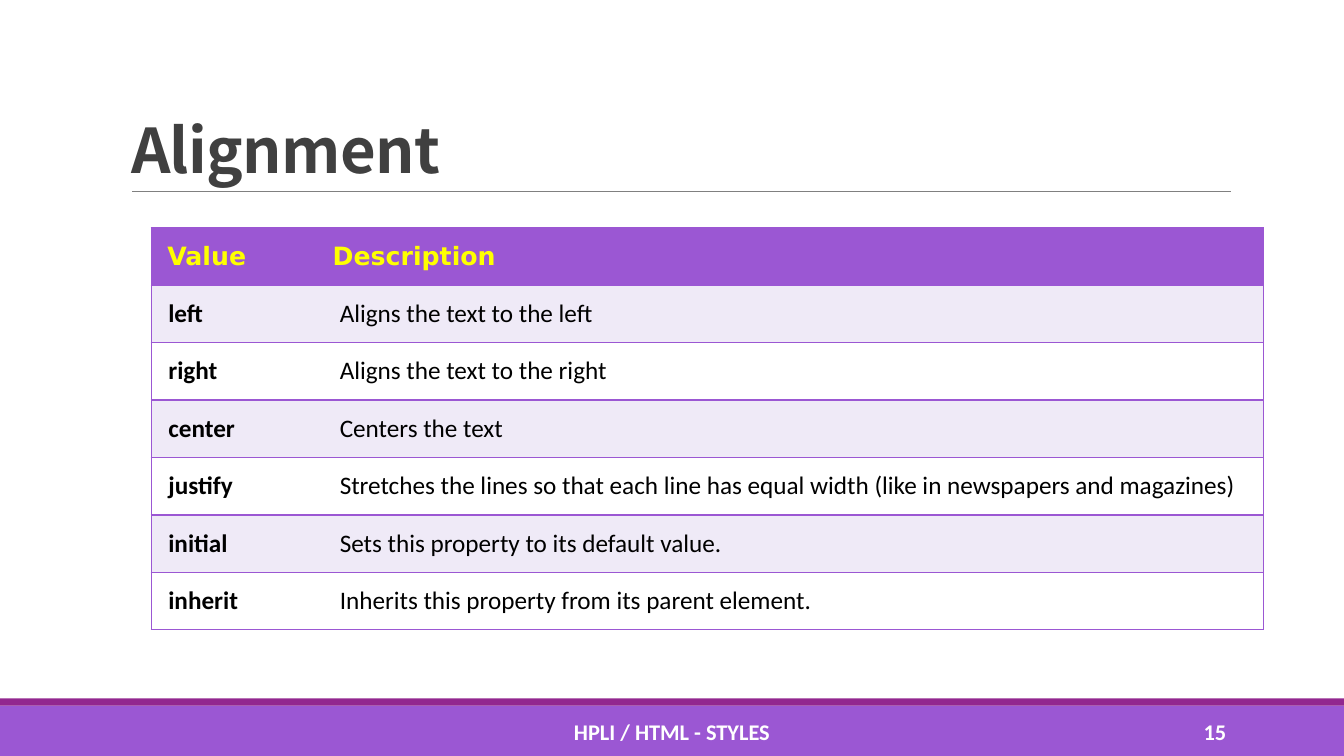
from dataclasses import dataclass

import pptx
import pptx.dml.color
import pptx.enum.shapes
import pptx.enum.text
import pptx.oxml
import pptx.oxml.ns
import pptx.util
from pptx.enum.text import MSO_ANCHOR, PP_ALIGN

EMU_PER_PX = 9144  # 100 px to the inch
PURPLE, PLUM, LILAC, WHITE = "9B57D3", "92278F", "EFEAF7", "FFFFFF"
BLACK, YELLOW, DARK_GREY, GREY = "000000", "FFFF00", "404040", "808080"


@dataclass(frozen=True)
class Band:
    top: int
    height: int
    colour: str


@dataclass(frozen=True)
class FooterText:
    left: int
    width: int
    text: str
    align: PP_ALIGN


@dataclass(frozen=True)
class CellStyle:
    fill: str
    colour: str
    font: str
    bold: bool
    margins: tuple[int, int, int, int]  # left, top, right, bottom


BANDS = [Band(700, 50, PURPLE), Band(693, 7, PLUM)]
FOOTERS = [
    FooterText(403, 527, "HPLI / HTML - STYLES", PP_ALIGN.CENTER),
    FooterText(1083, 143, "15", PP_ALIGN.RIGHT),
]
COLUMN_WIDTHS = [179, 924]
ROW_HEIGHT = 57
ROWS = [
    ("Value", "Description"),
    ("left", "Aligns the text to the left"),
    ("right", "Aligns the text to the right"),
    ("center", "Centers the text"),
    ("justify", "Stretches the lines so that each line has equal width "
                "(like in newspapers and magazines)"),
    ("initial", "Sets this property to its default value."),
    ("inherit", "Inherits this property from its parent element."),
]


def px(length: int) -> pptx.util.Emu:
    return pptx.util.Emu(length * EMU_PER_PX)


def rgb(colour: str) -> pptx.dml.color.RGBColor:
    return pptx.dml.color.RGBColor.from_string(colour)


def set_font(para, name: str, size: int, colour: str, bold: bool) -> None:
    font = para.font
    font.name, font.size, font.bold = name, pptx.util.Pt(size), bold
    font.color.rgb = rgb(colour)


def add_band(page, band: Band, width: int) -> None:
    box = page.shapes.add_shape(pptx.enum.shapes.MSO_SHAPE.RECTANGLE,
                                0, px(band.top), width, px(band.height))
    box.shadow.inherit = False
    box.fill.solid()
    box.fill.fore_color.rgb = rgb(band.colour)
    box.line.fill.background()


def add_rule(page, left: int, right: int, top: int) -> None:
    rule = page.shapes.add_connector(pptx.enum.shapes.MSO_CONNECTOR.STRAIGHT,
                                     px(left), px(top), px(right), px(top))
    rule.line.color.rgb = rgb(GREY)
    rule.line.width = pptx.util.Pt(0.5)
    rule._element.spPr.append(pptx.oxml.parse_xml(
        f"<a:effectLst {pptx.oxml.ns.nsdecls('a')}/>"))


def fill_title(page, text: str) -> None:
    title = page.shapes.title
    title.left, title.top, title.width, title.height = map(px, (120, 31, 1100, 159))
    frame = title.text_frame
    frame.text = text
    frame.vertical_anchor = MSO_ANCHOR.BOTTOM
    frame.auto_size = pptx.enum.text.MSO_AUTO_SIZE.NONE
    para = frame.paragraphs[0]
    para.alignment = PP_ALIGN.LEFT
    para.line_spacing = 0.85
    set_font(para, "Noto Sans CJK SC", 44, DARK_GREY, True)
    para._p.pPr.find(pptx.oxml.ns.qn("a:defRPr")).set("spc", "-50")


def add_footer(page, footer: FooterText) -> None:
    box = page.shapes.add_textbox(px(footer.left), px(706), px(footer.width), px(40))
    frame = box.text_frame
    frame.word_wrap = True
    frame.vertical_anchor = MSO_ANCHOR.MIDDLE
    frame.text = footer.text
    para = frame.paragraphs[0]
    para.alignment = footer.align
    set_font(para, "Calibri", 16, WHITE, True)


def set_borders(cell, open_side: str) -> None:
    """Outline a cell in purple, leaving one side without a line."""
    properties = cell._tc.get_or_add_tcPr()
    for index, side in enumerate("LRTB"):
        paint = ("<a:noFill/>" if side == open_side else
                 f'<a:solidFill><a:srgbClr val="{PURPLE}"/></a:solidFill>')
        properties.insert(index, pptx.oxml.parse_xml(
            f'<a:ln{side} {pptx.oxml.ns.nsdecls("a")} w="12700">{paint}</a:ln{side}>'))


def cell_style(row: int, column: int) -> CellStyle:
    first = column == 0
    if row == 0:
        return CellStyle(PURPLE, YELLOW, "DejaVu Sans", True,
                         (16 if first else 1, 1, 1, 0))
    return CellStyle(LILAC if row % 2 else WHITE, BLACK, "Calibri", first,
                     (17 if first else 8, 8, 8, 8))


def fill_cell(cell, text: str, style: CellStyle) -> None:
    cell.text = text
    cell.vertical_anchor = MSO_ANCHOR.MIDDLE
    (cell.margin_left, cell.margin_top,
     cell.margin_right, cell.margin_bottom) = map(px, style.margins)
    cell.fill.solid()
    cell.fill.fore_color.rgb = rgb(style.fill)
    set_font(cell.text_frame.paragraphs[0], style.font, 18, style.colour, style.bold)


def add_value_table(page) -> None:
    table = page.shapes.add_table(
        len(ROWS), len(COLUMN_WIDTHS), px(150), px(226),
        px(sum(COLUMN_WIDTHS)), px(ROW_HEIGHT * len(ROWS))).table
    table.first_row = table.horz_banding = False
    for column, width in zip(table.columns, COLUMN_WIDTHS):
        column.width = px(width)
    for row, texts in enumerate(ROWS):
        table.rows[row].height = px(ROW_HEIGHT)
        for column, text in enumerate(texts):
            cell = table.cell(row, column)
            fill_cell(cell, text, cell_style(row, column))
            set_borders(cell, open_side="RL"[column])


def main() -> None:
    deck = pptx.Presentation()
    deck.slide_width, deck.slide_height = px(1333), px(750)
    page = deck.slides.add_slide(deck.slide_layouts.get_by_name("Title Only"))

    # Footer bands and title rule
    for band in BANDS:
        add_band(page, band, deck.slide_width)
    add_rule(page, 131, 1221, 190)

    # Title and table
    fill_title(page, "Alignment")
    add_value_table(page)

    # Footer texts
    for footer in FOOTERS:
        add_footer(page, footer)

    deck.save("out.pptx")


if __name__ == "__main__":
    main()
